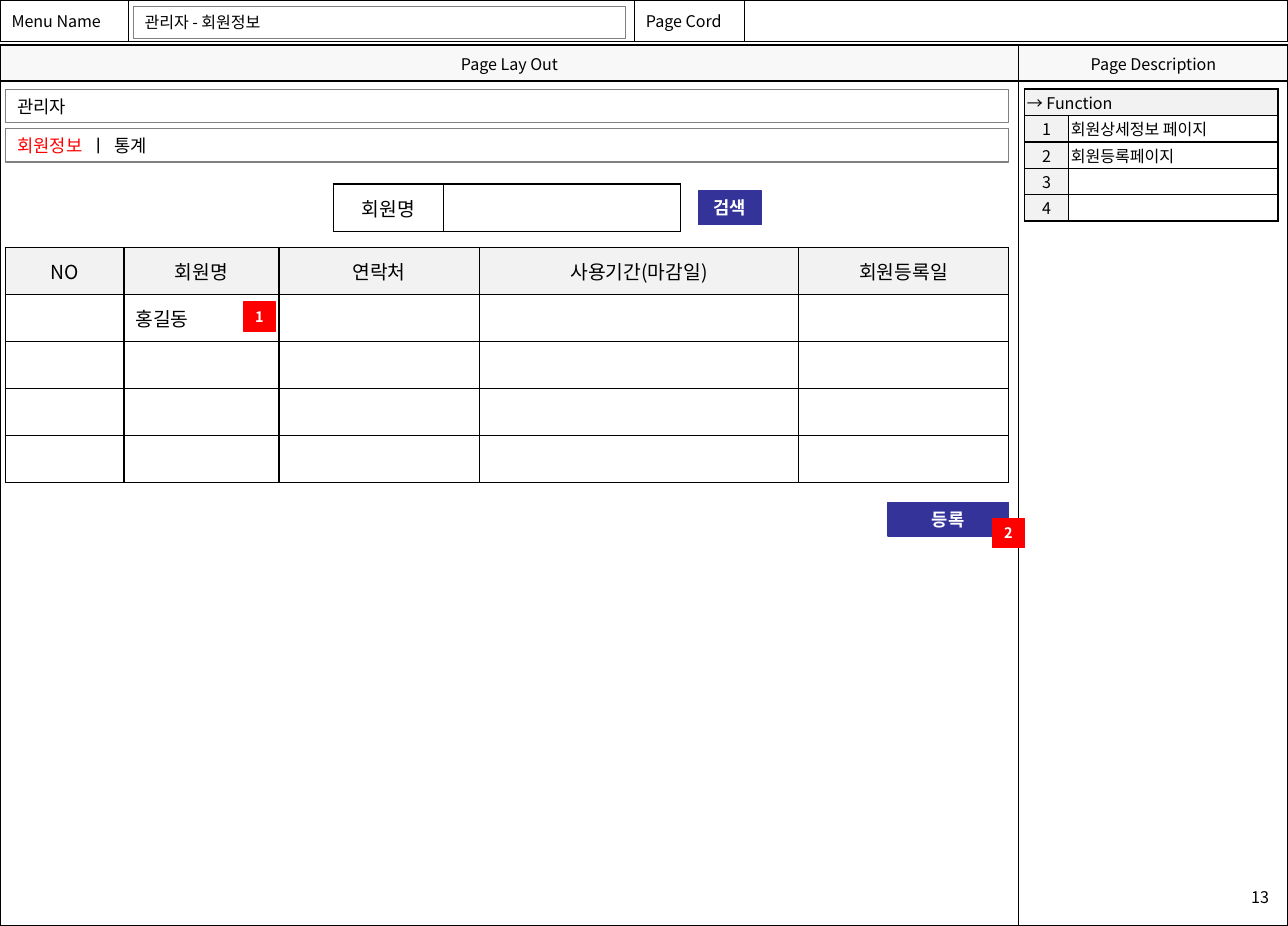
"""Build the member information page of an admin storyboard."""
from dataclasses import dataclass

from lxml import etree
from pptx import Presentation
from pptx.dml.color import RGBColor
from pptx.enum.shapes import MSO_SHAPE
from pptx.enum.text import MSO_ANCHOR, PP_ALIGN
from pptx.oxml.ns import qn
from pptx.util import Inches, Pt

LEFT, MID, RIGHT = PP_ALIGN.LEFT, PP_ALIGN.CENTER, PP_ALIGN.RIGHT
RECT = MSO_SHAPE.RECTANGLE
CENTRE = MSO_ANCHOR.MIDDLE
WIDE, HIGH = 89 / 8, 8


@dataclass(frozen=True)
class Theme:
    font: str = "Noto Sans CJK KR"
    ink: str = "000000"
    paper: str = "FFFFFF"
    band: str = "F8F8F8"
    head: str = "F2F2F2"
    edge: str = "808080"
    red: str = "FF0000"
    blue: str = "333399"
    tiny: int = 9
    small: int = 10
    base: int = 11
    large: int = 12


theme = Theme()


def write(frame, text, size=theme.small, color=theme.ink, bold=False, align=LEFT):
    para = frame.paragraphs[0]
    para.alignment = align
    if not text:
        end = etree.SubElement(para._p, qn("a:endParaRPr"))
        end.set("sz", str(size * 100))
        return
    run = para.add_run()
    run.text = text
    font = run.font
    font.name, font.size, font.bold = theme.font, Pt(size), bold
    font.color.rgb = RGBColor.from_string(color)
    east = etree.SubElement(run._r.get_or_add_rPr(), qn("a:ea"))
    east.set("typeface", theme.font)


def grid(left, top, cols, rows, texts, size=theme.small, shade=theme.head,
         heads=(), mids=(), pad=(0.1, 0.05), span=False):
    table = slide.shapes.add_table(
        len(rows), len(cols), Inches(left), Inches(top),
        Inches(sum(cols)), Inches(sum(rows))).table
    table.first_row = table.horz_banding = False
    for col, width in zip(table.columns, cols):
        col.width = Inches(width)
    for row, height in zip(table.rows, rows):
        row.height = Inches(height)
    if span:
        table.cell(0, 0).merge(table.cell(0, len(cols) - 1))
    for r in range(len(rows)):
        for c in range(len(cols)):
            cell = table.cell(r, c)
            cell.vertical_anchor = CENTRE
            cell.margin_left = cell.margin_right = Inches(pad[0])
            cell.margin_top = cell.margin_bottom = Inches(pad[1])
            props = cell._tc.get_or_add_tcPr()
            for side in ("lnL", "lnR", "lnT", "lnB"):
                line = etree.SubElement(props, qn("a:" + side), w=str(Pt(1)))
                fill = etree.SubElement(line, qn("a:solidFill"))
                etree.SubElement(fill, qn("a:srgbClr"), val=theme.ink)
            cell.fill.solid()
            cell.fill.fore_color.rgb = RGBColor.from_string(
                shade if (r, c) in heads else theme.paper)
            write(cell.text_frame, texts.get((r, c), ""), size=size,
                  align=MID if (r, c) in mids else LEFT)


deck = Presentation()
deck.slide_width, deck.slide_height = Inches(WIDE), Inches(HIGH)
slide = deck.slides.add_slide(deck.slide_layouts[6])

tops = {(0, 0), (0, 1)}
grid(0, 0.39, [8.8, WIDE - 8.8], [0.31, 7.3],
     {(0, 0): "Page Lay Out", (0, 1): "Page Description"},
     shade=theme.band, heads=tops, mids=tops, pad=(0, 0))
grid(0, 0, [1.11, 4.37, 0.95, WIDE - 6.43], [0.36],
     {(0, 0): "Menu Name", (0, 2): "Page Cord"})

names = ["NO", "회원명", "연락처", "사용기간(마감일)", "회원등록일"]
texts = {(0, c): name for c, name in enumerate(names)}
heads = set(texts)
texts[1, 1] = "홍길동"
grid(0.05, 2.14, [1.02, 1.34, 1.73, 2.76, 1.81], [2.03 / 5] * 5, texts,
     size=theme.large, heads=heads, mids=heads)

notes = ["회원상세정보 페이지", "회원등록페이지", "", ""]
texts = {(0, 0): "→ Function"}
for r, note in enumerate(notes, 1):
    texts[r, 0], texts[r, 1] = str(r), note
marks = {(r, 0) for r in range(1, 5)}
grid(8.85, 0.77, [0.38, 1.81], [1.14 / 5] * 5, texts,
     heads=marks | tops, mids=marks, pad=(0.02, 0.01), span=True)

grid(2.88, 1.59, [0.95, 2.05], [0.41], {(0, 0): "회원명"},
     size=theme.large, mids={(0, 0)})

bars = [
    (0.05, 0.77, 8.66, 0.29, theme.base, [("관리자", theme.ink)]),
    (0.05, 1.11, 8.66, 0.29, theme.base,
     [("회원정보  ", theme.red), ("ㅣ  통계", theme.ink)]),
    (1.15, 0.06, 4.25, 0.27, theme.small, [("관리자 - 회원정보", theme.ink)]),
]
keys = [
    (2.1, 2.61, 0.28, 0.25, theme.tiny, "1", theme.red),
    (7.67, 4.34, 1.04, 0.29, theme.base, "등록", theme.blue),
    (6.03, 1.65, 0.55, 0.29, theme.base, "검색", theme.blue),
    (8.57, 4.48, 0.28, 0.25, theme.tiny, "2", theme.red),
]
boxes = [(*bar, None, theme.edge, LEFT) for bar in bars]
boxes += [(*key[:5], [(key[5], theme.paper)], key[6], key[6], MID) for key in keys]
for *place, size, runs, fill, edge, align in boxes:
    box = slide.shapes.add_shape(RECT, *map(Inches, place))
    box.shadow.inherit = False
    if fill:
        box.fill.solid()
        box.fill.fore_color.rgb = RGBColor.from_string(fill)
    else:
        box.fill.background()
    box.line.color.rgb = RGBColor.from_string(edge)
    box.line.width = Pt(0.75)
    frame = box.text_frame
    frame.word_wrap = place[2] > 0.5
    frame.vertical_anchor = CENTRE
    frame.margin_top = frame.margin_bottom = 0
    for text, color in runs:
        write(frame, text, size=size, color=color, bold=bool(fill), align=align)

page = slide.shapes.add_textbox(Inches(9.24), Inches(7.61), Inches(1.84), Inches(0.32))
frame = page.text_frame
frame.word_wrap = True
frame.margin_left = frame.margin_right = Inches(0.12)
frame.margin_top = frame.margin_bottom = Inches(0.06)
write(frame, "13", align=RIGHT)

deck.save("out.pptx")
